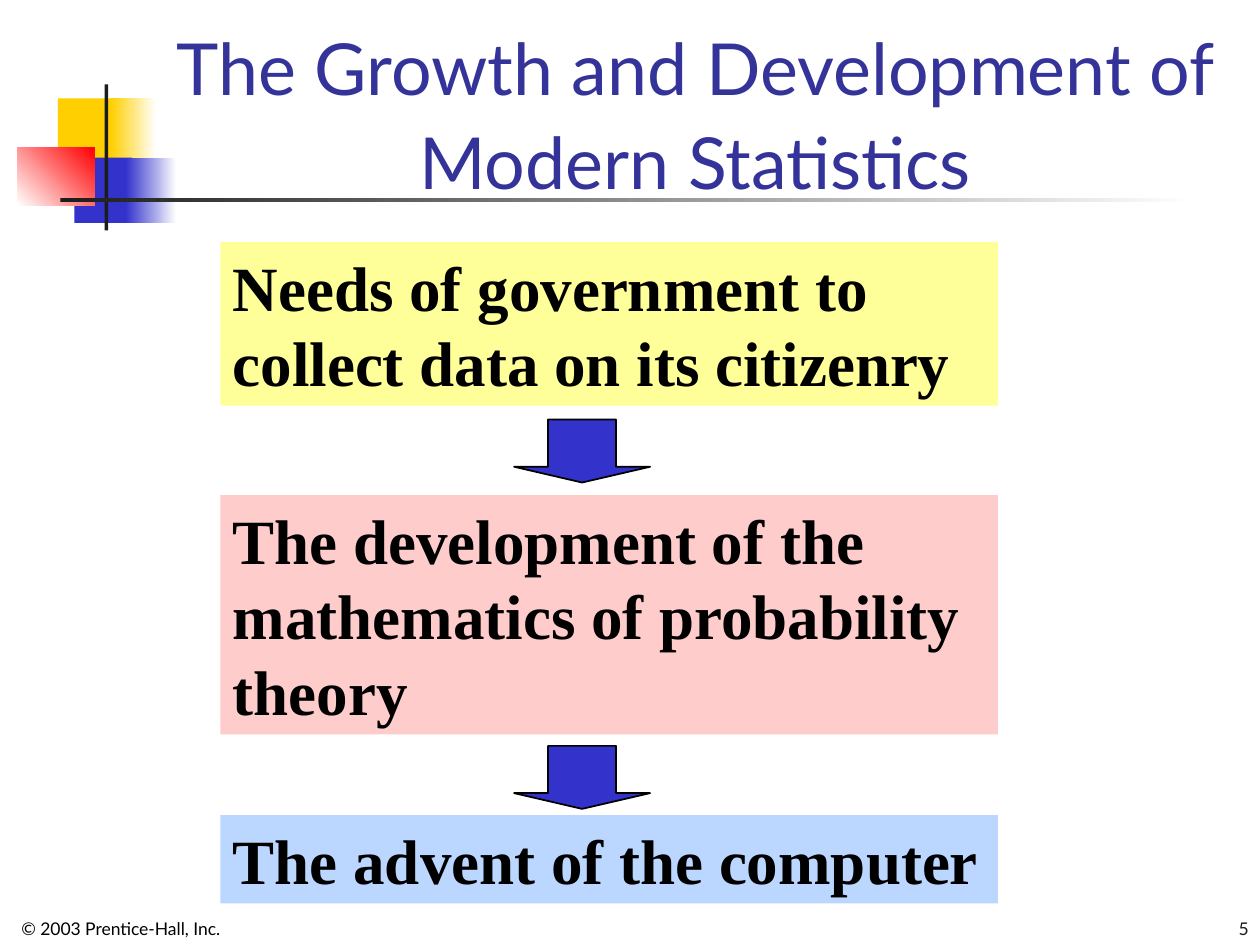
from typing import NamedTuple, Optional

from pptx import Presentation
from pptx.dml.color import RGBColor
from pptx.enum.shapes import MSO_SHAPE as Preset
from pptx.enum.text import MSO_ANCHOR as Anchor, PP_ALIGN as Align
from pptx.util import Inches, Pt

WHITE = RGBColor(0xFF, 0xFF, 0xFF)
BLACK = RGBColor(0x00, 0x00, 0x00)
CHARCOAL = RGBColor(0x1C, 0x1C, 0x1C)
GOLD = RGBColor(0xFF, 0xCF, 0x01)
BLUE = RGBColor(0x33, 0x33, 0xCC)
RED = RGBColor(0xFF, 0x00, 0x00)
NAVY = RGBColor(0x33, 0x33, 0x99)
YELLOW = RGBColor(0xFF, 0xFF, 0x99)
PINK = RGBColor(0xFF, 0xCC, 0xCC)
SKY = RGBColor(0xBB, 0xD7, 0xFF)

SANS, SERIF = "Lato", "Times New Roman"
COLUMNS, ROWS = 100, 75
SLIDE_WIDTH, SLIDE_HEIGHT = Inches(10), Inches(7.5)
STEP_LEFT, STEP_WIDTH = 17.5, 61.7
ARROW_LEFT, ARROW_WIDTH, ARROW_HEIGHT = 40.8, 10.8, 5


class Area(NamedTuple):
    """Left and width in grid columns, top and height in grid rows."""
    left: float
    top: float
    width: float
    height: float

    def lengths(self) -> tuple[int, int, int, int]:
        column, row = SLIDE_WIDTH / COLUMNS, SLIDE_HEIGHT / ROWS
        return (round(self.left * column), round(self.top * row),
                round(self.width * column), round(self.height * row))


class Ornament(NamedTuple):
    area: Area
    color: RGBColor
    fade_to: Optional[RGBColor] = None
    angle: float = 0


class Step(NamedTuple):
    text: str
    top: float
    height: float
    color: RGBColor


class Footer(NamedTuple):
    text: str
    area: Area
    align: Align
    color: RGBColor
    bottom_inset: float


ORNAMENTS = [
    Ornament(Area(4.6, 7.8, 4.8, 5.2), GOLD),
    Ornament(Area(8.8, 7.8, 3.6, 5.2), GOLD, WHITE),
    Ornament(Area(5.9, 12.5, 4.6, 5.2), BLUE),
    Ornament(Area(10, 12.5, 4, 5.2), BLUE, WHITE),
    Ornament(Area(1.4, 11.7, 6.1, 4.6), WHITE, RED, 45),
    Ornament(Area(8.3, 6.7, 0.3, 11.6), CHARCOAL),
    Ornament(Area(4.8, 15.7, 90, 0.3), CHARCOAL, WHITE),
]
STEPS = [
    Step("Needs of government to collect data on its citizenry", 19.2, 13, YELLOW),
    Step("The development of the mathematics of probability theory", 39.3, 19, PINK),
    Step("The advent of the computer", 64.7, 7, SKY),
]
ARROW_TOPS = [33.3, 59.2]
FOOTERS = [
    Footer("© 2003 Prentice-Hall, Inc.", Area(0.8, 71.6, 40, 5.1), Align.LEFT, BLACK, 0.22),
    Footer("5", Area(79.2, 70.1, 20.8, 4.9), Align.RIGHT, CHARCOAL, 0.05),
]


def add_preset(slide, preset: Preset, area: Area, color: RGBColor):
    shape = slide.shapes.add_shape(preset, *area.lengths())
    shape.shadow.inherit = False
    shape.fill.solid()
    shape.fill.fore_color.rgb = color
    shape.line.fill.background()
    return shape


def set_text(shape, text: str, font_name: str, size: float, color: RGBColor,
             align: Align, anchor: Anchor, side: float = 0.09, bottom: float = 0.05):
    frame = shape.text_frame
    frame.word_wrap = True
    frame.vertical_anchor = anchor
    frame.margin_left = frame.margin_right = Inches(side)
    frame.margin_top, frame.margin_bottom = Inches(0.05), Inches(bottom)
    paragraph = frame.paragraphs[0]
    paragraph.text = text
    paragraph.alignment = align
    paragraph.font.name = font_name
    paragraph.font.size = Pt(size)
    paragraph.font.color.rgb = color
    return paragraph


def add_title(slide) -> None:
    title = slide.shapes.title
    title.left, title.top, title.width, title.height = Area(12.6, 4.2, 85.2, 12.5).lengths()
    paragraph = set_text(title, "The Growth and Development of Modern Statistics",
                         SANS, 41, NAVY, Align.CENTER, Anchor.BOTTOM)
    paragraph.line_spacing = 1.1


def add_ornament(slide, ornament: Ornament) -> None:
    shape = add_preset(slide, Preset.RECTANGLE, ornament.area, ornament.color)
    if ornament.fade_to is not None:
        shape.fill.gradient()
        shape.fill.gradient_angle = ornament.angle
        first, last = shape.fill.gradient_stops
        first.position, last.position = 0, 1
        first.color.rgb, last.color.rgb = ornament.color, ornament.fade_to


def add_step(slide, step: Step) -> None:
    area = Area(STEP_LEFT, step.top, STEP_WIDTH, step.height)
    shape = add_preset(slide, Preset.RECTANGLE, area, step.color)
    paragraph = set_text(shape, step.text, SERIF, 36, BLACK, Align.LEFT,
                         Anchor.TOP, side=0.1)
    paragraph.font.bold = True


def add_down_arrow(slide, top: float) -> None:
    area = Area(ARROW_LEFT, top, ARROW_WIDTH, ARROW_HEIGHT)
    arrow = add_preset(slide, Preset.DOWN_ARROW, area, BLUE)
    arrow.adjustments[0], arrow.adjustments[1] = 0.5, 0.25
    arrow.line.color.rgb = BLACK
    arrow.line.width = Pt(1)


def add_footer(slide, footer: Footer) -> None:
    box = slide.shapes.add_textbox(*footer.area.lengths())
    set_text(box, footer.text, SANS, 10, footer.color, footer.align,
             Anchor.BOTTOM, bottom=footer.bottom_inset)


def main() -> None:
    presentation = Presentation()
    presentation.slide_width, presentation.slide_height = SLIDE_WIDTH, SLIDE_HEIGHT
    slide = presentation.slides.add_slide(presentation.slide_layouts.get_by_name("Title Only"))
    for ornament in ORNAMENTS:
        add_ornament(slide, ornament)
    for footer in FOOTERS:
        add_footer(slide, footer)
    add_title(slide)
    for step in STEPS:
        add_step(slide, step)
    for top in ARROW_TOPS:
        add_down_arrow(slide, top)
    presentation.save("out.pptx")


if __name__ == "__main__":
    main()
